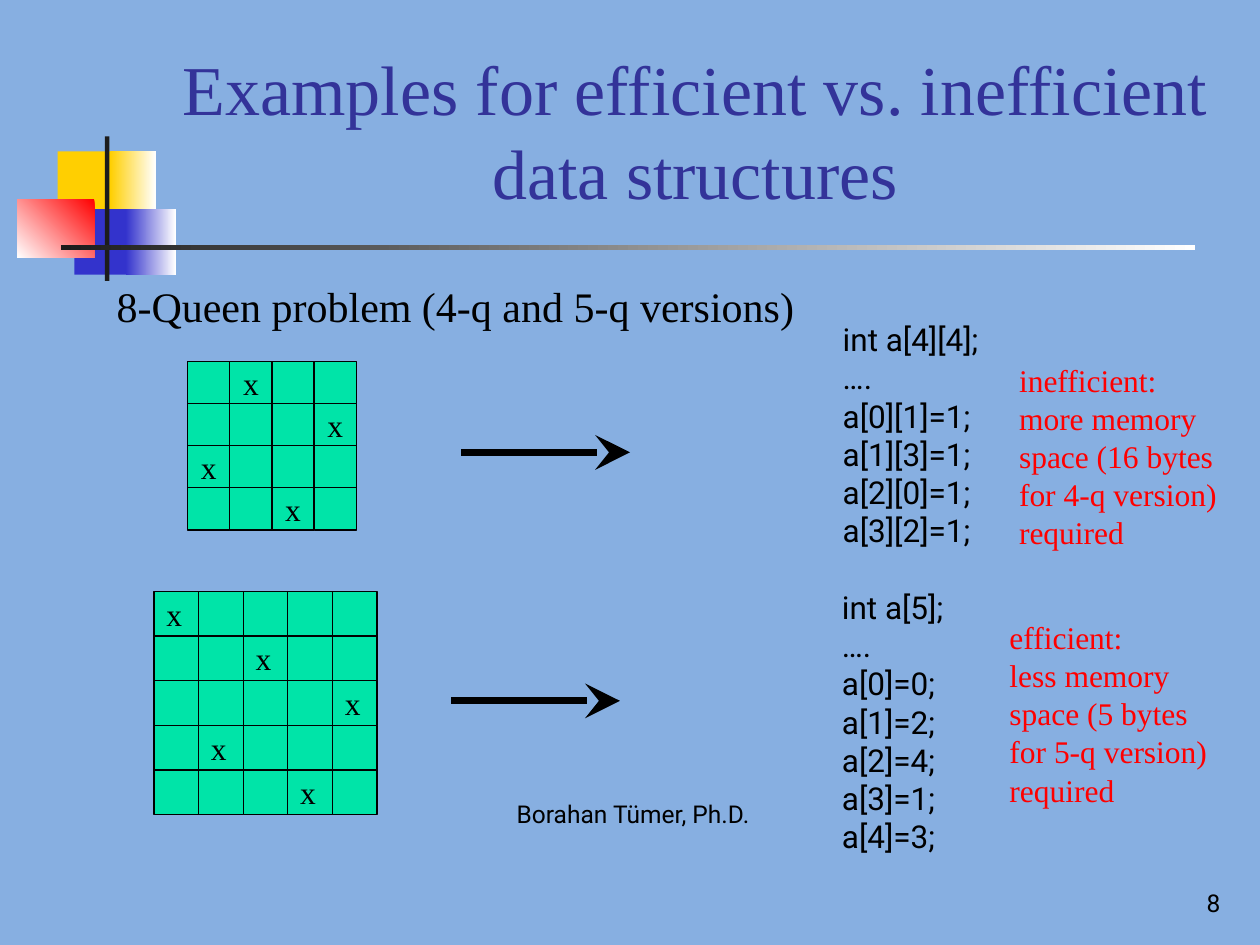
from dataclasses import dataclass
from lxml.etree import SubElement
from pptx import Presentation
from pptx.dml.color import RGBColor as Color
from pptx.enum.shapes import MSO_CONNECTOR as Connector, MSO_SHAPE as Shape
from pptx.enum.text import MSO_ANCHOR as Anchor, MSO_AUTO_SIZE as AutoSize, PP_ALIGN as Align
from pptx.oxml.ns import qn
from pptx.util import Pt


@dataclass(frozen=True)
class Theme:
    """Colours, fonts and type sizes of the deck."""
    back: str = "87AFE1"
    heading: str = "333399"
    ink: str = "000000"
    note: str = "FF0000"
    cell: str = "00E4A8"
    gold: str = "FFCF01"
    blue: str = "3333CC"
    red: str = "FF0000"
    white: str = "FFFFFF"
    dark: str = "1C1C1C"
    serif: str = "Times New Roman"
    sans: str = "Roboto"
    title_size: int = 40
    lead_size: int = 24
    text_size: int = 18
    small_size: int = 14
    leading: float = 1.2


THEME = Theme()


def write(frame, text, *, size=THEME.text_size, font=THEME.serif, color=THEME.ink,
          align=Align.LEFT, anchor=Anchor.TOP, wrap=True):
    """Fill a text frame with one paragraph per line of text."""
    frame.auto_size = AutoSize.NONE
    frame.word_wrap = wrap
    frame.vertical_anchor = anchor
    frame.margin_left = frame.margin_right = Pt(7.2)
    frame.margin_top = frame.margin_bottom = Pt(3.6)
    for index, line in enumerate(text.split("\n")):
        para = frame.add_paragraph() if index else frame.paragraphs[0]
        para.alignment = align
        para.line_spacing = Pt(size * THEME.leading)
        para.space_before = Pt(0.1 if index else 0)
        para.space_after = Pt(0.1)
        span = para.add_run()
        span.text = line
        span.font.size = Pt(size)
        span.font.name = font
        span.font.color.rgb = Color.from_string(color)


class Painter:
    """Draws each kind of element on the current page."""

    def __init__(self, deck, theme):
        """Add a title-only page with a plain background."""
        self.theme = theme
        self.page = deck.slides.add_slide(deck.slide_layouts[5])
        fill = self.page.background.fill
        fill.solid()
        fill.fore_color.rgb = Color.from_string(theme.back)

    def title(self, text, left, top, width, height):
        """Place and format the title placeholder."""
        box = self.page.shapes.title
        box.left, box.top, box.width, box.height = map(Pt, (left, top, width, height))
        write(box.text_frame, text, size=self.theme.title_size, color=self.theme.heading,
              align=Align.CENTER, anchor=Anchor.MIDDLE)

    def text(self, text, left, top, width, height, **style):
        """Add a text box."""
        box = self.page.shapes.add_textbox(*map(Pt, (left, top, width, height)))
        write(box.text_frame, text, **style)

    def block(self, left, top, width, height, color, fade=None, angle=0):
        """Add a rectangle, plain or fading from one colour to another."""
        box = self.page.shapes.add_shape(Shape.RECTANGLE, *map(Pt, (left, top, width, height)))
        box.shadow.inherit = False
        box.line.fill.background()
        if fade:
            box.fill.gradient()
            box.fill.gradient_angle = angle
            for stop, tone in zip(box.fill.gradient_stops, (color, fade)):
                stop.color.rgb = Color.from_string(tone)
        else:
            box.fill.solid()
            box.fill.fore_color.rgb = Color.from_string(color)
        return box

    def board(self, queens, left, top, pitch, align):
        """Draw a chess board with one queen column given per row."""
        for row, queen in enumerate(queens):
            for column in range(len(queens)):
                box = self.block(left + column * pitch, top + row * pitch, pitch, pitch,
                                 self.theme.cell)
                box.line.color.rgb = Color.from_string(self.theme.ink)
                box.line.width = Pt(0.75)
                if column == queen:
                    write(box.text_frame, "x", align=align, anchor=Anchor.MIDDLE, wrap=False)

    def arrow(self, left, y, length):
        """Draw a thick arrow to the right."""
        line = self.page.shapes.add_connector(
            Connector.STRAIGHT, Pt(left), Pt(y), Pt(left + length), Pt(y))
        line.line.width = Pt(4)
        line.line.color.rgb = Color.from_string(self.theme.ink)
        SubElement(line.line._get_or_add_ln(), qn("a:tailEnd"), type="stealth", w="lg", len="lg")
        SubElement(line._element.spPr, qn("a:effectLst"))


def main():
    """Build the page and save the deck."""
    deck = Presentation()
    deck.slide_width, deck.slide_height = Pt(720), Pt(540)
    theme = THEME
    painter = Painter(deck, theme)

    painter.block(33, 86.5, 34.5, 37.5, theme.gold)
    painter.block(63, 86.5, 26, 37.5, theme.gold, theme.white)
    painter.block(42.5, 119.5, 33, 37.5, theme.blue)
    painter.block(72, 119.5, 28.5, 37.5, theme.blue, theme.white)
    painter.block(10, 113.75, 44, 33.5, theme.red, theme.white, angle=225)
    painter.block(60, 78, 2.5, 82.5, theme.dark)
    painter.block(35, 140.25, 648, 2.5, theme.dark, theme.white)

    painter.title("Examples for efficient vs. inefficient data structures", 90.5, 16.5, 613.5, 115)
    painter.text("8-Queen problem (4-q and 5-q versions)", 59.5, 157, 414, 43, size=theme.lead_size)

    painter.board((1, 3, 0, 2), 107.25, 206.5, 24.1, Align.CENTER)
    painter.board((0, 2, 4, 1, 3), 88, 338, 25.5, Align.JUSTIFY)
    painter.arrow(263.5, 258.5, 96.5)
    painter.arrow(257.75, 400.5, 96.5)

    code = dict(font=theme.sans, wrap=False)
    painter.text("int a[4][4];\n….\na[0][1]=1;\na[1][3]=1;\na[2][0]=1;\na[3][2]=1;",
                 474.5, 179.5, 100, 138, **code)
    painter.text("int a[5];\n….\na[0]=0;\na[1]=2;\na[2]=4;\na[3]=1;\na[4]=3;",
                 474, 332.5, 78.5, 160, **code)
    note = dict(color=theme.note, wrap=False)
    painter.text("inefficient:\nmore memory\nspace (16 bytes\nfor 4-q version)\nrequired",
                 575.25, 202.5, 127.5, 116.5, **note)
    painter.text("efficient:\nless memory\nspace (5 bytes\nfor 5-q version)\nrequired",
                 569.75, 349.5, 131.5, 116.5, **note)

    small = dict(size=theme.small_size, font=theme.sans)
    painter.text("Borahan Tümer, Ph.D.", 248, 447, 227.5, 36, align=Align.CENTER,
                 anchor=Anchor.MIDDLE, **small)
    painter.text("8", 554.5, 492, 150, 36, align=Align.RIGHT, anchor=Anchor.BOTTOM, **small)
    deck.save("out.pptx")


if __name__ == "__main__":
    main()
